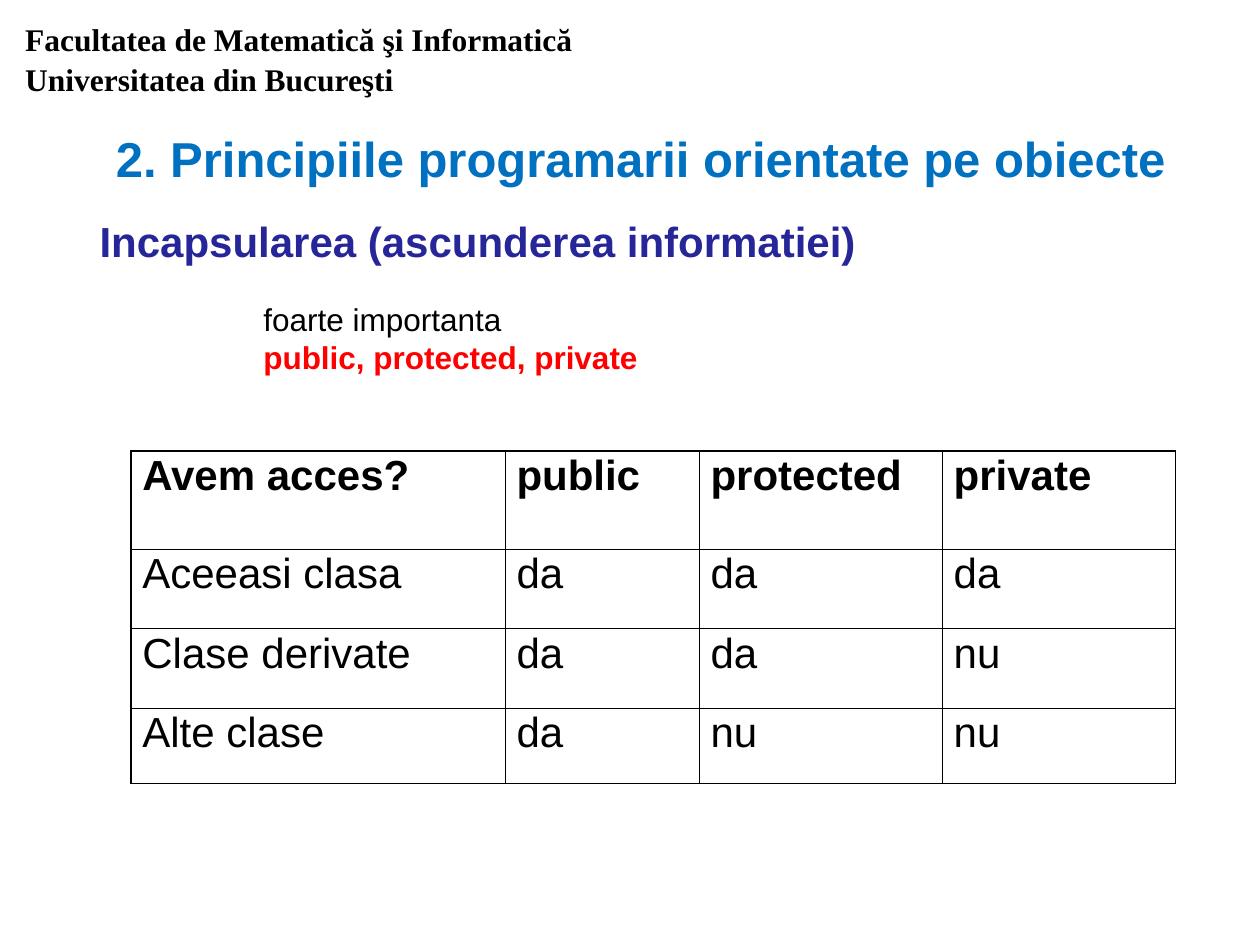
from lxml.etree import SubElement as sub
from pptx import Presentation
from pptx.dml.color import RGBColor as Rgb
from pptx.oxml.ns import qn
from pptx.util import Inches, Pt

COLORS = {"black": "000000", "blue": "0070C0", "navy": "262699", "red": "FF0000"}
COLS = [2.97, 1.54, 1.93, 1.85]
ROWS = [0.78, 0.63, 0.63, 0.6]
ACCESS = [
    ["Avem acces?", "public", "protected", "private"],
    ["Aceeasi clasa", "da", "da", "da"],
    ["Clase derivate", "da", "da", "nu"],
    ["Alte clase", "da", "nu", "nu"],
]


def write(para, text, size=18, color="black", bold=False, font="Arial",
          line=None, before=0):
    run = para.add_run()
    run.text = text
    run.font.size = Pt(size)
    run.font.bold = bold
    run.font.name = font
    run.font.color.rgb = Rgb.from_string(COLORS[color])
    para.space_before = Pt(before)
    if line:
        para.line_spacing = line


def add_box(slide, area, pad=(0.09, 0.04)):
    box = slide.shapes.add_textbox(*map(Inches, area))
    frame = box.text_frame
    frame.word_wrap = True
    frame.margin_left = frame.margin_right = Inches(pad[0])
    frame.margin_top = frame.margin_bottom = Inches(pad[1])
    return frame


def add_edge(cell, side, width):
    edge = sub(cell._tc.get_or_add_tcPr(), qn("a:" + side), w=str(Pt(width)))
    fill = sub(edge, qn("a:solidFill"))
    sub(fill, qn("a:srgbClr"), val=COLORS["black"])


def add_grid(slide, left, top):
    area = map(Inches, (left, top, sum(COLS), sum(ROWS)))
    table = slide.shapes.add_table(len(ROWS), len(COLS), *area).table
    table.horz_banding = False
    for col, width in zip(table.columns, COLS):
        col.width = Inches(width)
    for r, (row, height) in enumerate(zip(table.rows, ROWS)):
        row.height = Inches(height)
        for c, cell in enumerate(row.cells):
            cell.margin_left = cell.margin_right = Inches(0.09)
            cell.margin_top = cell.margin_bottom = Inches(0.05)
            write(cell.text_frame.paragraphs[0], ACCESS[r][c], size=24,
                  bold=r == 0, line=0.89)
            # Thick frame, thin inner lines
            add_edge(cell, "lnL", 1.25 if c == 0 else 0.5)
            add_edge(cell, "lnR", 1.25 if c == len(COLS) - 1 else 0.5)
            add_edge(cell, "lnT", 1.25 if r == 0 else 0.5)
            add_edge(cell, "lnB", 0.5)
            cell.fill.background()


def main():
    deck = Presentation()
    deck.slide_width, deck.slide_height = Inches(10), Inches(7.5)
    slide = deck.slides.add_slide(deck.slide_layouts[6])

    # Section heading
    frame = add_box(slide, (0.7, 1.67, 8.68, 0.58))
    write(frame.paragraphs[0], "Incapsularea (ascunderea informatiei)",
          size=24, color="navy", bold=True)

    # Key points
    frame = add_box(slide, (2, 2.33, 5.08, 0.91), pad=(0.09, 0.05))
    write(frame.paragraphs[0], "foarte importanta")
    write(frame.add_paragraph(), "public, protected, private",
          color="red", bold=True)

    # Access table
    add_grid(slide, 1.04, 3.58)

    # Faculty name
    frame = add_box(slide, (0.09, 0.09, 5.51, 0.72), pad=(0.11, 0.06))
    write(frame.paragraphs[0],
          "Facultatea de Matematică şi Informatică Universitatea din Bucureşti",
          bold=True, font="Times New Roman", line=1.04)

    # Slide title
    frame = add_box(slide, (0.83, 0.75, 8.83, 0.65))
    write(frame.paragraphs[0], "2. Principiile programarii orientate pe obiecte",
          size=28, color="blue", bold=True, line=1.5, before=3)

    deck.save("out.pptx")


main()
